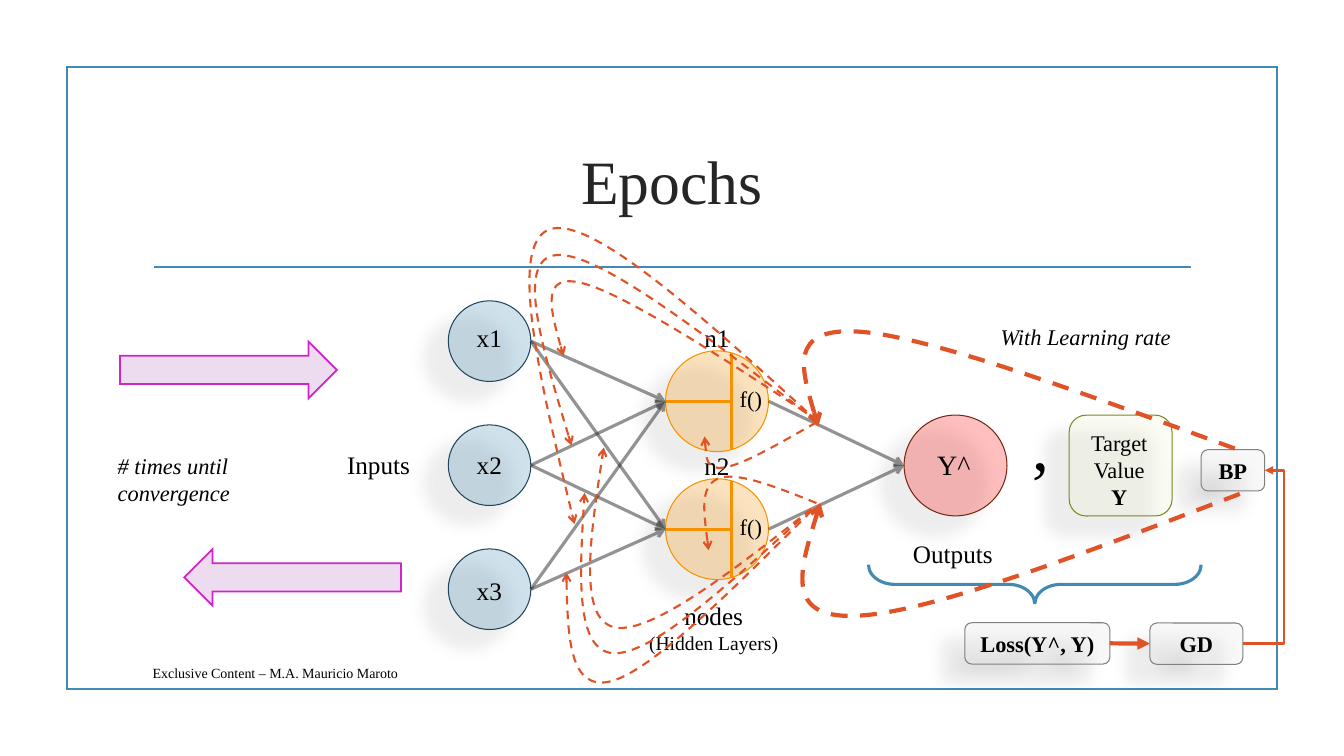
from lxml import etree
from pptx import Presentation
from pptx.dml.color import RGBColor
from pptx.enum import dml, shapes, text
from pptx.oxml import ns
from pptx.util import Pt

BLUE = RGBColor(0x41, 0x8A, 0xB3)
NAVY = RGBColor(0x20, 0x45, 0x5A)
RED = RGBColor(0xFF, 0x00, 0x00)
MAROON = RGBColor(0x72, 0x28, 0x11)
AMBER = RGBColor(0xF6, 0x92, 0x00)
ORANGE = RGBColor(0xDF, 0x53, 0x27)
CHARCOAL = RGBColor(0x29, 0x29, 0x29)
TITLE_GRAY = RGBColor(0x26, 0x26, 0x26)
BLACK = RGBColor(0, 0, 0)
LIME = RGBColor(0xF0, 0xF5, 0xD0)
OLIVE = RGBColor(0x7D, 0x89, 0x1D)
SILVER = RGBColor(0xE6, 0xE6, 0xE6)
GRAY = RGBColor(0x80, 0x80, 0x80)
LILAC = RGBColor(0xED, 0xDC, 0xF0)
MAGENTA = RGBColor(0xD1, 0x23, 0xC9)

PRESET = shapes.MSO_SHAPE
CENTER = text.PP_ALIGN.CENTER


def child(parent, tag, **attributes):
    return etree.SubElement(parent, ns.qn(tag), attributes)


def set_alpha(holder, percent):
    color = next(holder.iter(ns.qn("a:srgbClr")))
    child(color, "a:alpha", val=str(percent * 1000))


def extent(a, b, c, d, steps=100):
    values = [(1 - t)**3 * a + 3 * (1 - t)**2 * t * b + 3 * (1 - t) * t * t * c + t**3 * d
              for t in (n / steps for n in range(steps + 1))]
    return min(values), max(values)


class Sketch:
    font = "Times New Roman"

    def __init__(self, slide):
        self.slide = slide

    def style_text(self, frame, size, color=BLACK, align=None, bold=False, italic=False):
        for paragraph in frame.paragraphs:
            paragraph.alignment = align
            for run in paragraph.runs:
                run.font.name = self.font
                run.font.size = Pt(size)
                run.font.color.rgb = color
                run.font.bold = bold
                run.font.italic = italic

    def title(self, words, left, top, width, height):
        heading = self.slide.shapes.title
        heading.left, heading.top = Pt(left), Pt(top)
        heading.width, heading.height = Pt(width), Pt(height)
        heading.text_frame.text = words
        heading.text_frame.vertical_anchor = text.MSO_ANCHOR.MIDDLE
        self.style_text(heading.text_frame, 44, TITLE_GRAY, CENTER)

    def label(self, words, left, top, width, height, size=18, wrap=False, **style):
        box = self.slide.shapes.add_textbox(Pt(left), Pt(top), Pt(width), Pt(height))
        frame = box.text_frame
        frame.text = words
        frame.word_wrap = wrap
        frame.auto_size = text.MSO_AUTO_SIZE.SHAPE_TO_FIT_TEXT
        self.style_text(frame, size, **style)
        return frame

    def shape(self, preset, left, top, width, height, fill, line, weight=1.25):
        item = self.slide.shapes.add_shape(preset, Pt(left), Pt(top), Pt(width), Pt(height))
        item.shadow.inherit = False
        if fill is None:
            item.fill.background()
        else:
            item.fill.solid()
            item.fill.fore_color.rgb = fill
        item.line.color.rgb = line
        item.line.width = Pt(weight)
        child(item.element.spPr.find(ns.qn("a:ln")), "a:miter", lim="800000")
        return item

    def glass(self, preset, left, top, width, height, fill, line):
        item = self.shape(preset, left, top, width, height, fill, line, 0.75)
        properties = item.element.spPr
        set_alpha(properties.find(ns.qn("a:solidFill")), 25)
        shadow = child(properties.find(ns.qn("a:effectLst")), "a:outerShdw",
                       blurRad=str(Pt(11.8)), dist=str(Pt(19.7)),
                       dir=str(141 * 60000), algn="tr", rotWithShape="0")
        child(shadow, "a:srgbClr", val="000000")
        set_alpha(shadow, 28)
        return item

    def step(self, words, left, top, width):
        item = self.glass(PRESET.ROUNDED_RECTANGLE, left, top, width, 29.5, SILVER, GRAY)
        item.text_frame.text = words
        item.text_frame.word_wrap = False
        item.text_frame.vertical_anchor = text.MSO_ANCHOR.MIDDLE
        self.style_text(item.text_frame, 16, align=CENTER, bold=True)
        return item

    def stroke(self, item, color, weight, dash=None, head=None):
        item.line.color.rgb = color
        item.line.width = Pt(weight)
        if dash:
            item.line.dash_style = dash
        if head:
            child(item.element.spPr.find(ns.qn("a:ln")), "a:tailEnd", type=head)

    def line(self, start, end, color, weight, head=None, alpha=None,
             kind=shapes.MSO_CONNECTOR.STRAIGHT):
        link = self.slide.shapes.add_connector(kind, *(Pt(v) for v in (*start, *end)))
        self.stroke(link, color, weight, head=head)
        if alpha:
            set_alpha(link.element.spPr, alpha)
        child(link.element.spPr, "a:effectLst")
        return link

    def feedback(self, weight, points):
        points = [(Pt(x), Pt(y)) for x, y in points]
        builder = self.slide.shapes.build_freeform(*points[0])
        builder.add_line_segments(points[1:], close=False)
        curve = builder.convert_to_shape()
        outline = next(curve.element.iter(ns.qn("a:path" )))
        segments = outline.findall(ns.qn("a:lnTo"))
        for first in range(0, len(segments), 3):
            bezier = child(outline, "a:cubicBezTo")
            for segment in segments[first:first + 3]:
                bezier.append(segment[0])
                outline.remove(segment)

        xs, ys = zip(*points)
        spans = [(extent(*xs[i:i + 4]), extent(*ys[i:i + 4])) for i in (0, 3)]
        left, top = (int(min(span[k][0] for span in spans)) for k in (0, 1))
        right, bottom = (int(max(span[k][1] for span in spans)) for k in (0, 1))
        for node, (x, y) in zip(outline.iter(ns.qn("a:pt")), points):
            node.set("x", str(x - left))
            node.set("y", str(y - top))
        curve.left, curve.top = left, top
        curve.width, curve.height = right - left, bottom - top
        outline.set("w", str(right - left))
        outline.set("h", str(bottom - top))

        curve.shadow.inherit = False
        curve.fill.background()
        self.stroke(curve, ORANGE, weight, dml.MSO_LINE.DASH, "arrow")


def main():
    deck = Presentation()
    deck.slide_width, deck.slide_height = Pt(960), Pt(540)
    sketch = Sketch(deck.slides.add_slide(deck.slide_layouts[5]))

    sketch.shape(PRESET.RECTANGLE, 48, 48, 864, 444, None, BLUE)
    sketch.line((110, 190.8), (850.7, 190.8), BLUE, 1.25)
    sketch.title("Epochs", 102, 77, 756, 103)
    sketch.label("Exclusive Content – M.A. Mauricio Maroto", 102, 471, 284, 22, 10, True)

    input_centers = [243.7 + 88.6 * i for i in range(3)]
    node_centers = [286.6, 378]
    output_center = 332.5
    sketch.glass(PRESET.OVAL, 645.8, output_center - 36, 73.5, 72, RED, MAROON)
    for center in input_centers:
        sketch.glass(PRESET.OVAL, 320.2, center - 28.8, 59, 57.6, BLUE, NAVY)
    for center in node_centers:
        sketch.glass(PRESET.OVAL, 475.4, center - 36, 73.5, 72, AMBER, AMBER)

    for node in node_centers:
        for source in input_centers:
            sketch.line((379.2, source), (475.4, node), CHARCOAL, 2.25, "arrow", 50)
        sketch.line((549, node), (645.8, output_center), CHARCOAL, 2.25, "arrow", 50)

    sketch.label("Inputs", 240.8, 317.5, 63.4, 29)
    layers = sketch.label("nodes\n(Hidden Layers)", 444.6, 425.5, 130.3, 46, wrap=True, align=CENTER)
    layers.paragraphs[1].runs[0].font.size = Pt(14)
    sketch.label("Outputs", 645, 380.6, 82.8, 29)
    for i in range(3):
        sketch.label(f"x{i + 1}", 333.4, 226.8 + 90.4 * i, 32.4, 29)
    for i, center in enumerate(node_centers):
        sketch.label(f"n{i + 1}", 496, 226.8 + 91.4 * i, 32.4, 29)
        sketch.line((522.7, center - 34.5), (522.7, center + 34), AMBER, 2.25)
        sketch.label("f()", 521.3, center - 15.2, 32.4, 26.6, 16)
        sketch.line((475.4, center), (522.7, center), AMBER, 2.25)
    sketch.label("Y^", 662.4, 316, 38.2, 31.5, 20)
    sketch.label("# times until convergence", 77, 319.7, 152.6, 26.6, 16, True, italic=True)

    sketch.glass(PRESET.ROUNDED_RECTANGLE, 763.7, 296.6, 73.5, 72, LIME, OLIVE)
    target = sketch.label("Target Value\nY", 768.2, 303.1, 62.6, 65.5, 16, True, align=CENTER)
    target.paragraphs[1].runs[0].font.bold = True
    sketch.label(",", 730.4, 284.4, 20.9, 65.5, 48)

    brace = sketch.shape(PRESET.LEFT_BRACE, 725.2, 298.6, 28, 237.6, None, BLUE, 2.25)
    brace.adjustments[0], brace.adjustments[1] = 0.67, 0.5
    brace.rotation = 270

    loss = sketch.step("Loss(Y^, Y)", 689.2, 444.8, 103.6)
    descent = sketch.step("GD", 821.4, 445, 66.4)
    backprop = sketch.step("BP", 858, 321.2, 45.4)
    to_descent = sketch.line((792.8, 459.5), (821.4, 459.8), ORANGE, 3, "triangle")
    to_descent.begin_connect(loss, 3)
    to_descent.end_connect(descent, 1)
    to_backprop = sketch.line((887.8, 459.8), (903.4, 336), ORANGE, 2, "triangle",
                              kind=shapes.MSO_CONNECTOR.ELBOW)
    to_backprop.begin_connect(descent, 3)
    to_backprop.end_connect(backprop, 3)
    bend = next(to_backprop.element.iter(ns.qn("a:prstGeom"))).find(ns.qn("a:avLst"))
    child(bend, "a:gd", name="adj1", fmla="val 188100")

    feedbacks = [
        (3, [(882, 320.4), (771.8, 280.1), (662.4, 239.8), (612.7, 236.9),
             (563, 234), (573.8, 269.3), (584.6, 304.6)]),
        (1.5, [(583.9, 300.2), (515.5, 254.9), (446.4, 210.2), (416.2, 202.3),
               (385.9, 194.4), (393.8, 224.6), (402.5, 254.2)]),
        (1.5, [(584.6, 301.7), (505.4, 240.5), (427, 179.3), (397.4, 182.2),
               (367.9, 185), (388.1, 251.3), (408.2, 318.2)]),
        (1.5, [(583.9, 301), (502.6, 226.8), (420.5, 151.9), (391.7, 164.2),
               (362.9, 176.4), (386.6, 275.8), (410.4, 374.4)]),
        (1.5, [(579.6, 363.6), (521.3, 409.7), (462.2, 455), (437.8, 447.8),
               (413.3, 440.6), (421.9, 380.2), (431.3, 319.7)]),
        (1.5, [(579.6, 363.6), (522, 416.2), (465.1, 468.7), (437.8, 466.6),
               (411.1, 464.4), (414, 408.2), (417.6, 352.1)]),
        (1.5, [(579.6, 365), (522.7, 421.9), (465.1, 479.5), (436.3, 486.7),
               (406.8, 493.9), (405.4, 451.4), (404.6, 409)]),
        (3, [(885.6, 352.8), (772.6, 396), (660.2, 439.2), (609.8, 439.9),
             (560.2, 441.4), (573.1, 400.3), (586.1, 359.3)]),
        (1.5, [(583.2, 301.7), (556.6, 316.8), (529.9, 332.6), (516.2, 334.1),
               (503.3, 335.5), (503.3, 311.8), (503.3, 311.8)]),
        (1.5, [(583.2, 359.3), (554.4, 347.8), (525.6, 336.2), (512.6, 342),
               (499.7, 347.8), (503.3, 370.1), (506.2, 393.1)]),
    ]
    for weight, points in feedbacks:
        sketch.feedback(weight, points)

    sketch.label("With Learning rate", 707.6, 227.2, 195.8, 26.6, 16, True, italic=True)
    for left, top, turn in [(85.7, 244.1, 0), (131.6, 392.2, 180)]:
        epoch_pass = sketch.shape(PRESET.RIGHT_ARROW, left, top, 154.9, 40.4, LILAC, MAGENTA)
        epoch_pass.rotation = turn

    deck.save("out.pptx")


if __name__ == "__main__":
    main()
